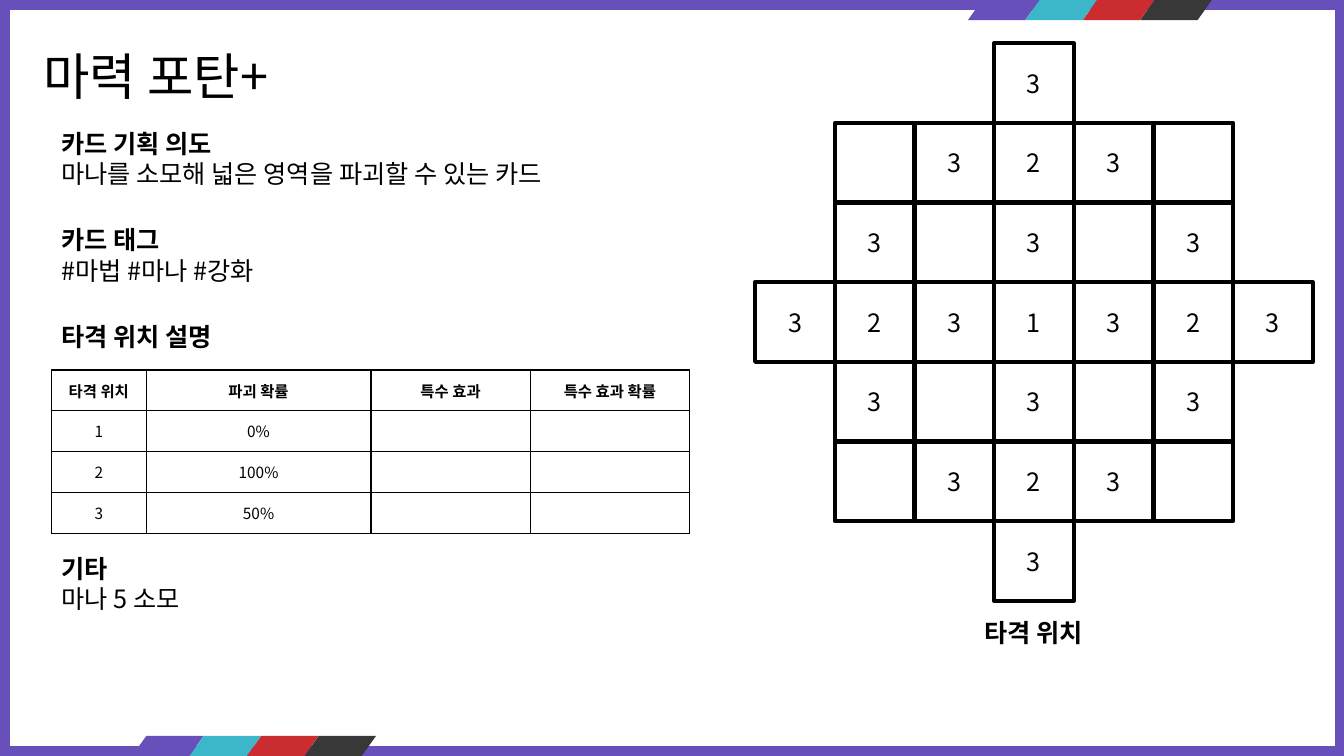
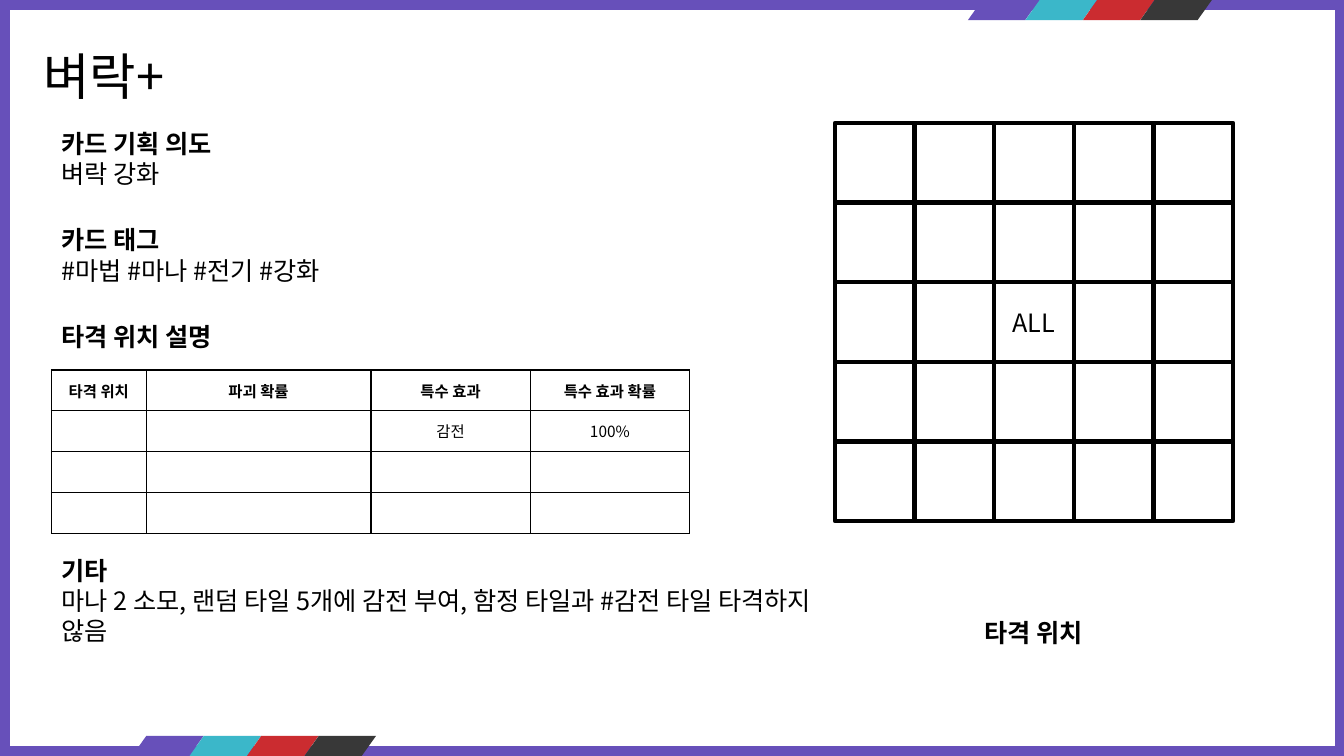
"""Build two card design slides with hit tables and hit position grids."""
from lxml import etree
from pptx import Presentation
from pptx import util as u
from pptx.dml.color import RGBColor
from pptx.enum import shapes, text
from pptx.oxml.ns import qn

FONT = "Noto Sans CJK KR"
COLORS = {
    "purple": "6750BA",
    "teal": "3BB7C9",
    "red": "CB2C30",
    "charcoal": "383838",
    "white": "FFFFFF",
    "black": "000000",
}
STRIPES = ["purple", "teal", "red", "charcoal"]
STRIPE_STARTS = [(9.6, 0), (1.31, 7.3)]
STRIPE_STEP = 0.57
GRID_LEFT, GRID_TOP, CELL = 7.49, 0.43, 0.79
COLUMN_WIDTHS = [0.94, 2.23, 1.58, 1.58]
TABLE_HEADER = ["타격 위치", "파괴 확률", "특수 효과", "특수 효과 확률"]

CARDS = [
    {
        "title": "마력 포탄+",
        "intent": "마나를 소모해 넓은 영역을 파괴할 수 있는 카드",
        "tags": "#마법 #마나 #강화",
        "rows": [["1", "0%", "", ""], ["2", "100%", "", ""], ["3", "50%", "", ""]],
        "etc": "마나 5 소모",
        "etc_box": (0.51, 5.44, 7.91, 0.71),
        "grid": [
            [None, None, None, "3", None, None, None],
            [None, "", "3", "2", "3", "", None],
            [None, "3", "", "3", "", "3", None],
            ["3", "2", "3", "1", "3", "2", "3"],
            [None, "3", "", "3", "", "3", None],
            [None, "", "3", "2", "3", "", None],
            [None, None, None, "3", None, None, None],
        ],
    },
    {
        "title": "벼락+",
        "intent": "벼락 강화",
        "tags": "#마법 #마나 #전기 #강화",
        "rows": [["", "", "감전", "100%"], [""] * 4, [""] * 4],
        "etc": "마나 2 소모, 랜덤 타일 5개에 감전 부여, 함정 타일과 #감전 타일 타격하지 않음",
        "etc_box": (0.51, 5.46, 7.91, 1.01),
        "grid": [
            [],
            [None] + [""] * 5,
            [None] + [""] * 5,
            [None, "", "", "ALL", "", ""],
            [None] + [""] * 5,
            [None] + [""] * 5,
        ],
    },
]


def color(name):
    return RGBColor.from_string(COLORS[name])


def style(paragraph, size, bold=False, align=text.PP_ALIGN.LEFT):
    paragraph.alignment = align
    font = paragraph.font
    font.name, font.size, font.bold = FONT, u.Pt(size), bold
    font.color.rgb = color("black")


def add_box(slide, kind, box, fill):
    shape = slide.shapes.add_shape(kind, *map(u.Inches, box))
    shape.shadow.inherit = False
    shape.fill.solid()
    shape.fill.fore_color.rgb = color(fill)
    shape.line.fill.background()
    return shape


def add_frame(presentation, slide):
    master = presentation.slide_master
    master.background.fill.solid()
    master.background.fill.fore_color.rgb = color("purple")
    kind = shapes.MSO_SHAPE
    parts = [add_box(slide, kind.RECTANGLE, (0.1, 0.1, 13.14, 7.3), "white")]
    for left, top in STRIPE_STARTS:
        for index, name in enumerate(STRIPES):
            box = (left + index * STRIPE_STEP, top, 0.71, 0.2)
            parts.append(add_box(slide, kind.FLOWCHART_DATA, box, name))
    for index, part in enumerate(parts):
        part.element.nvSpPr.cNvPr.set("id", str(100 + index))
        master.shapes.element.insert(2 + index, part.element)


def add_title(slide, title):
    shape = slide.shapes.title
    shape.left, shape.top, shape.width, shape.height = map(u.Inches, (0.33, 0.4, 6.43, 0.71))
    frame = shape.text_frame
    frame.text = title
    frame.vertical_anchor = text.MSO_ANCHOR.TOP
    frame.auto_size = text.MSO_AUTO_SIZE.SHAPE_TO_FIT_TEXT
    style(frame.paragraphs[0], 36)


def add_section(slide, box, lines, align=text.PP_ALIGN.LEFT):
    frame = slide.shapes.add_textbox(*map(u.Inches, box)).text_frame
    frame.word_wrap = True
    frame.auto_size = text.MSO_AUTO_SIZE.SHAPE_TO_FIT_TEXT
    frame.text = "\n".join(lines)
    for index, paragraph in enumerate(frame.paragraphs):
        style(paragraph, 18, index == 0, align)


def add_borders(cell):
    properties = cell._tc.get_or_add_tcPr()
    for index, side in enumerate(("lnL", "lnR", "lnT", "lnB")):
        line = etree.Element(qn("a:" + side), w=str(u.Pt(1)))
        fill = etree.SubElement(line, qn("a:solidFill"))
        etree.SubElement(fill, qn("a:srgbClr"), val=COLORS["black"])
        properties.insert(index, line)


def add_hit_table(slide, rows):
    rows = [TABLE_HEADER] + rows
    box = map(u.Inches, (0.51, 3.67, sum(COLUMN_WIDTHS), 1.62))
    table = slide.shapes.add_table(len(rows), len(COLUMN_WIDTHS), *box).table
    table.first_row = table.horz_banding = False
    for column, width in zip(table.columns, COLUMN_WIDTHS):
        column.width = u.Inches(width)
    for row_index, row in enumerate(rows):
        for column_index, value in enumerate(row):
            cell = table.cell(row_index, column_index)
            cell.text = value
            cell.vertical_anchor = text.MSO_ANCHOR.MIDDLE
            cell.margin_left = cell.margin_right = cell.margin_top = cell.margin_bottom = 0
            cell.fill.solid()
            cell.fill.fore_color.rgb = color("white")
            style(cell.text_frame.paragraphs[0], 11, row_index == 0, text.PP_ALIGN.CENTER)
            add_borders(cell)


def add_grid(slide, grid):
    for row_index, row in enumerate(grid):
        for column_index, value in enumerate(row):
            if value is None:
                continue
            box = (GRID_LEFT + column_index * CELL, GRID_TOP + row_index * CELL, CELL, CELL)
            tile = add_box(slide, shapes.MSO_SHAPE.RECTANGLE, box, "white")
            tile.line.color.rgb = color("black")
            tile.line.width = u.Pt(3)
            if value:
                tile.text_frame.text = value
                tile.text_frame.vertical_anchor = text.MSO_ANCHOR.MIDDLE
                style(tile.text_frame.paragraphs[0], 18, align=text.PP_ALIGN.CENTER)


def set_east_asian_font(slide):
    for latin in list(slide.element.iter(qn("a:latin"))):
        latin.addnext(etree.Element(qn("a:ea"), typeface=FONT))


def add_card(slide, card):
    add_title(slide, card["title"])
    add_section(slide, (0.51, 1.22, 12.19, 0.71), ["카드 기획 의도", card["intent"]])
    add_grid(slide, card["grid"])
    add_section(slide, (0.51, 2.18, 7.91, 0.71), ["카드 태그", card["tags"]])
    add_section(slide, (0.51, 3.14, 7.91, 0.4), ["타격 위치 설명"])
    add_hit_table(slide, card["rows"])
    add_section(slide, (9.23, 6.08, 2.04, 0.4), ["타격 위치"], text.PP_ALIGN.CENTER)
    add_section(slide, card["etc_box"], ["기타", card["etc"]])
    set_east_asian_font(slide)


def main():
    presentation = Presentation()
    presentation.slide_width, presentation.slide_height = u.Inches(13.33), u.Inches(7.5)
    slides = [presentation.slides.add_slide(presentation.slide_layouts[5]) for _ in CARDS]
    add_frame(presentation, slides[0])
    for slide, card in zip(slides, CARDS):
        add_card(slide, card)
    presentation.save("out.pptx")


if __name__ == "__main__":
    main()
